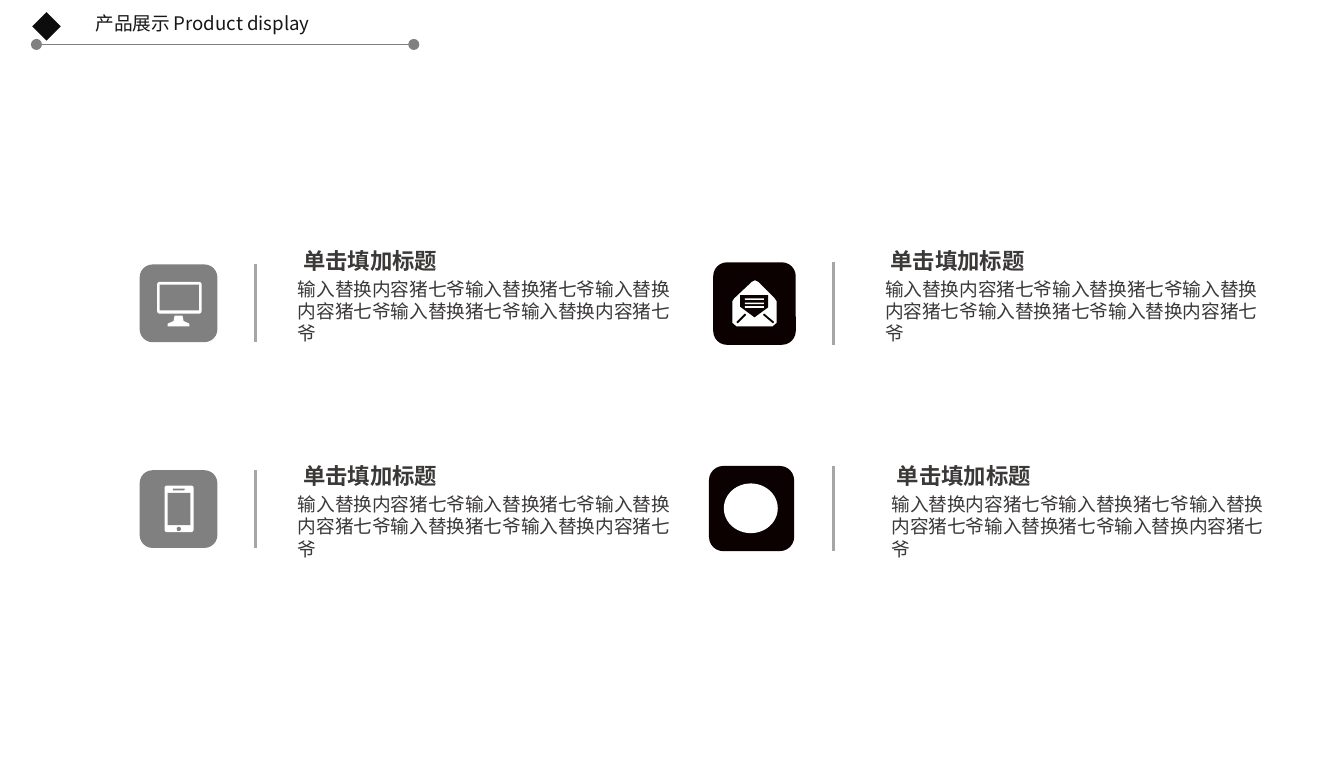
from lxml import etree
from pptx import Presentation
from pptx.dml.color import RGBColor
from pptx.enum.shapes import MSO_CONNECTOR, MSO_SHAPE
from pptx.enum.text import MSO_ANCHOR, MSO_AUTO_SIZE, PP_ALIGN
from pptx.oxml.ns import qn
from pptx.util import Cm, Pt

ROUND, RECT = MSO_SHAPE.ROUNDED_RECTANGLE, MSO_SHAPE.RECTANGLE
OVAL, DIAMOND = MSO_SHAPE.OVAL, MSO_SHAPE.DIAMOND
LEFT, CENTER = PP_ALIGN.LEFT, PP_ALIGN.CENTER
FONT = "Noto Sans CJK SC"
WHITE, GREY, BLACK, TEXT = "FFFFFF", "808080", "0A0100", "3B3838"

TITLE = "产品展示 Product display"
HEAD = "单击填加标题"
BODY = "输入替换内容猪七爷输入替换猪七爷输入替换内容猪七爷输入替换猪七爷输入替换内容猪七爷"

# Icon parts: kind, colour, geometry in cm from the tile corner
ICONS = {
    "screen": [
        (ROUND, WHITE, (0.33, 0.33, 0.84, 0.6)),
        (RECT, GREY, (0.38, 0.38, 0.74, 0.49)),
        ("poly", WHITE, [(0.66, 0.97), (0.81, 0.97), (0.83, 1.07), (0.94, 1.12),
                         (0.94, 1.17), (0.53, 1.17), (0.53, 1.12), (0.64, 1.07)]),
    ],
    "phone": [
        (ROUND, WHITE, (0.47, 0.29, 0.55, 0.88)),
        (RECT, GREY, (0.53, 0.43, 0.43, 0.61)),
        (ROUND, GREY, (0.63, 0.35, 0.22, 0.03)),
        (OVAL, GREY, (0.7, 1.07, 0.08, 0.08)),
    ],
    "mail": [
        ("poly", WHITE, [(0.36, 0.74), (0.4, 0.68), (0.73, 0.37), (0.79, 0.34),
                         (0.85, 0.37), (1.16, 0.68), (1.2, 0.74), (1.2, 1.14),
                         (1.12, 1.21), (0.44, 1.21), (0.36, 1.14)]),
        ("poly", BLACK, [(0.51, 0.62), (1.04, 0.62), (1.04, 0.85),
                         (0.78, 1.04), (0.51, 0.84)]),
        (RECT, WHITE, (0.6, 0.68, 0.36, 0.03)),
        (RECT, WHITE, (0.6, 0.76, 0.36, 0.03)),
        (RECT, WHITE, (0.6, 0.83, 0.36, 0.03)),
        ("line", BLACK, (0.45, 1.14, 0.61, 0.98)),
        ("line", BLACK, (0.95, 0.98, 1.14, 1.14)),
    ],
    "chat": [(OVAL, WHITE, (0.28, 0.33, 1.02, 0.94))],
}

# Icon, tile colour, tile x, y and size, bar x, heading x and y
ITEMS = [
    ("screen", GREY, 2.64, 5, 1.47, 4.83, 5.26, 4.57),
    ("phone", GREY, 2.64, 8.89, 1.47, 4.83, 5.26, 8.64),
    ("mail", BLACK, 13.48, 4.96, 1.56, 15.75, 16.36, 4.57),
    ("chat", BLACK, 13.4, 8.81, 1.61, 15.75, 16.48, 8.64),
]


def rgb(code):
    return RGBColor.from_string(code)


def paint(shape, code):
    shape.shadow.inherit = False
    shape.fill.solid()
    shape.fill.fore_color.rgb = rgb(code)
    shape.line.fill.background()


def block(kind, code, x, y, w, h):
    shape = shapes.add_shape(kind, Cm(x), Cm(y), Cm(w), Cm(h))
    paint(shape, code)
    return shape


def poly(code, pts, x, y):
    unit = [(px * 100, py * 100) for px, py in pts]
    pen = shapes.build_freeform(*unit[0], scale=Cm(0.01))
    pen.add_line_segments(unit[1:])
    paint(pen.convert_to_shape(Cm(x), Cm(y)), code)


def rule(code, x1, y1, x2, y2, width=1.0, dots=False):
    """Draw a straight line, with round ends if dots is set."""
    line = shapes.add_connector(MSO_CONNECTOR.STRAIGHT, Cm(x1), Cm(y1), Cm(x2), Cm(y2))
    line.line.color.rgb = rgb(code)
    line.line.width = Pt(width)
    props = line._element.spPr
    if dots:
        for tag in ("a:headEnd", "a:tailEnd"):
            etree.SubElement(props.find(qn("a:ln")), qn(tag), type="oval")
    etree.SubElement(props, qn("a:effectLst"))


def write(text, x, y, w, h, box=None, size=10, code=TEXT, bold=False,
          align=LEFT, inset=True, space=1.0):
    box = box or shapes.add_textbox(0, 0, 0, 0)
    box.left, box.top, box.width, box.height = Cm(x), Cm(y), Cm(w), Cm(h)
    frame = box.text_frame
    frame.word_wrap = True
    frame.auto_size = MSO_AUTO_SIZE.SHAPE_TO_FIT_TEXT
    frame.vertical_anchor = MSO_ANCHOR.TOP
    if not inset:
        frame.margin_left = frame.margin_right = 0
        frame.margin_top = frame.margin_bottom = 0
    para = frame.paragraphs[0]
    para.alignment, para.line_spacing = align, space
    run = para.add_run()
    run.text = text
    font = run.font
    font.name, font.size, font.bold = FONT, Pt(size), bold
    font.color.rgb = rgb(code)
    etree.SubElement(run._r.get_or_add_rPr(), qn("a:ea"), typeface=FONT)


def draw(name, x, y):
    for kind, code, geo in ICONS[name]:
        if kind == "poly":
            poly(code, geo, x, y)
        elif kind == "line":
            x1, y1, x2, y2 = geo
            rule(code, x + x1, y + y1, x + x2, y + y2)
        else:
            left, top, w, h = geo
            part = block(kind, code, x + left, y + top, w, h)
            if kind == ROUND:
                part.adjustments[0] = 0.08


deck = Presentation()
deck.slide_width, deck.slide_height = Cm(25.4), Cm(14.5)
slide = deck.slides.add_slide(deck.slide_layouts[5])
shapes = slide.shapes

rule(GREY, 0.69, 0.84, 7.82, 0.84, dots=True)
block(DIAMOND, "0D0D0D", 0.61, 0.23, 0.54, 0.54)
write(TITLE, 1.55, 0.1, 5.4, 0.69, box=shapes.title, code="181717")

for icon, code, x, y, size, bar, left, top in ITEMS:
    block(ROUND, code, x, y, size, size)
    rule("A6A6A6", bar, y, bar, y + size, width=1.5)
    draw(icon, x, y)
    write(BODY, left + 0.12, top + 0.55, 7.54, 3.18)
    write(HEAD, left, top, 3.48, 0.58, size=12, bold=True,
          align=CENTER, inset=False, space=1.2)

deck.save("out.pptx")
